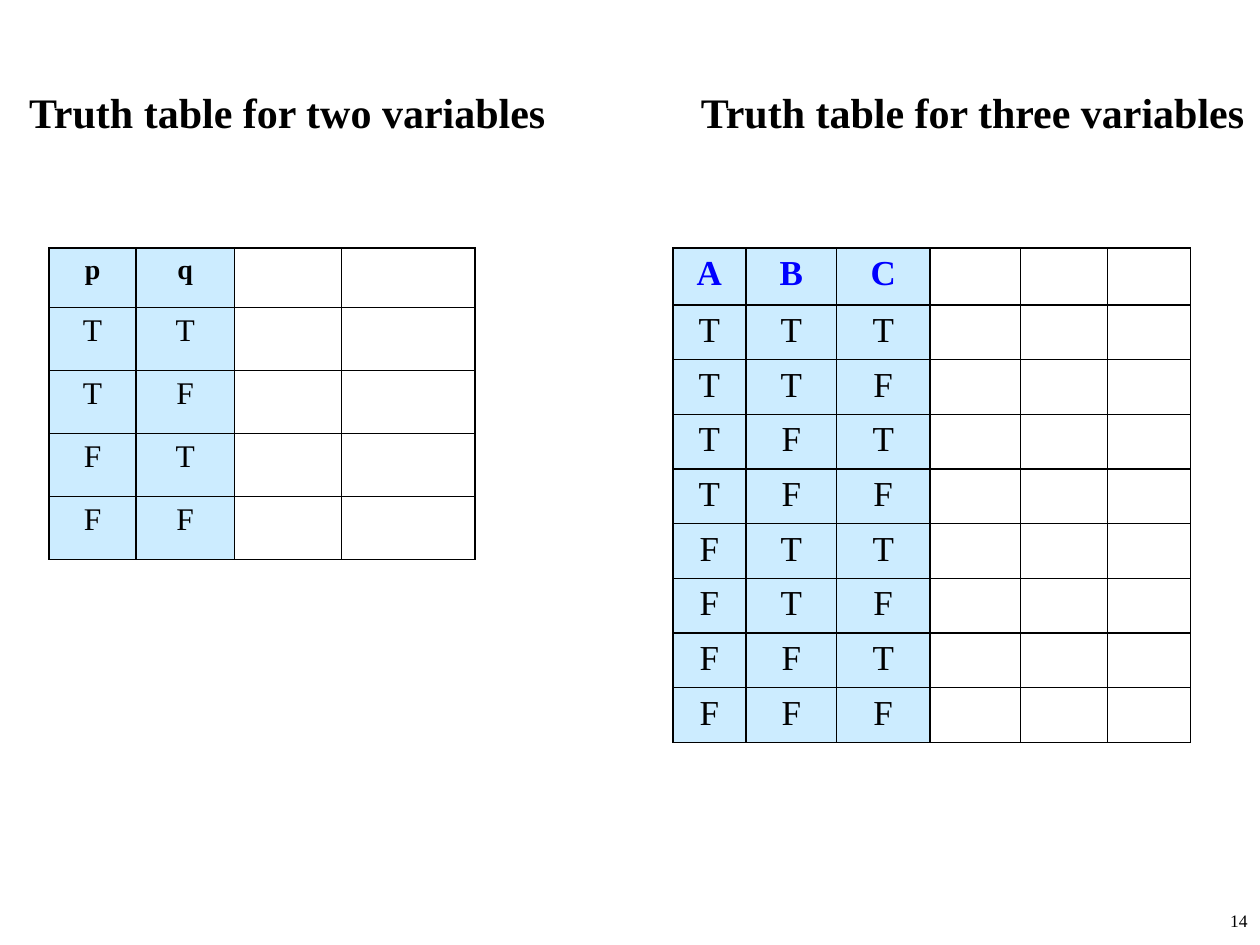
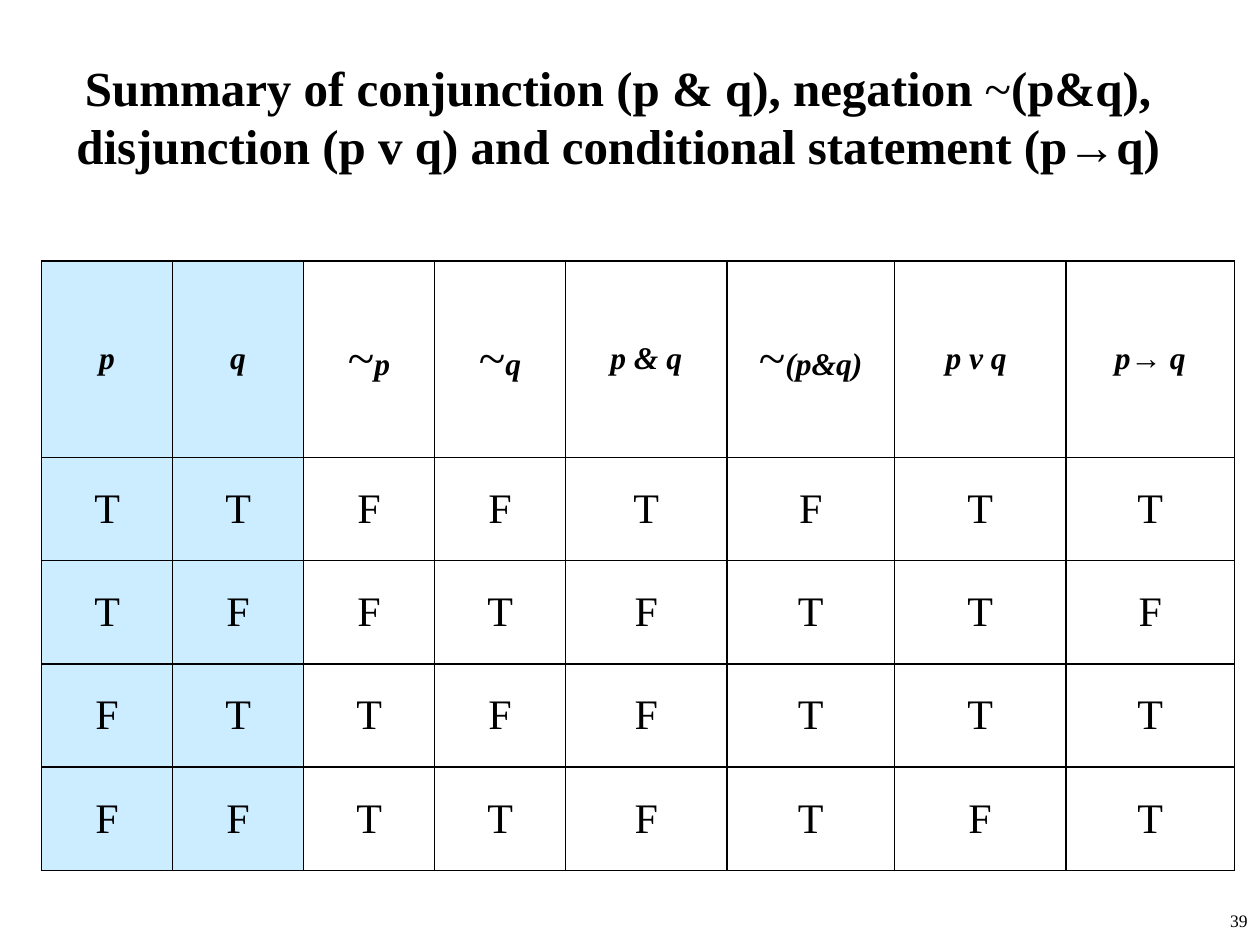
from dataclasses import dataclass
from itertools import product

from lxml.etree import SubElement
from pptx import Presentation
from pptx.dml.color import RGBColor
from pptx.enum.text import MSO_ANCHOR, PP_ALIGN
from pptx.oxml.ns import qn
from pptx.util import Pt

PX = 9144  # EMU per px, 100 px to the inch


@dataclass(frozen=True)
class Theme:
    font: str = "Times New Roman"
    ink: str = "000000"
    accent: str = "0000FF"
    paper: str = "FFFFFF"
    input_fill: str = "CCECFF"
    rule: int = 1
    number: int = 10
    small_head: int = 16
    body: int = 18
    medium: int = 20
    title: int = 24
    large: int = 28


class SlideBuilder:
    def __init__(self, theme):
        self.theme = theme
        self.deck = Presentation()
        self.deck.slide_width, self.deck.slide_height = 1000 * PX, 750 * PX
        self.page = None

    def new_page(self, number):
        self.page = self.deck.slides.add_slide(self.deck.slide_layouts[6])
        self.text((792, 717, 208, 33), [(str(number), {})], self.theme.number,
                  align=PP_ALIGN.RIGHT, anchor=MSO_ANCHOR.TOP)

    def add_spans(self, para, spans, size, align=PP_ALIGN.CENTER, color=None, **style):
        """Fill a paragraph with (text, format) spans over a common style."""
        para.alignment = align
        for text, changes in spans:
            span = para.add_run()
            span.text = text
            values = {"name": self.theme.font, "size": size, "bold": False,
                      "italic": False, **style, **changes}
            values["size"] = Pt(values["size"])
            for key, value in values.items():
                setattr(span.font, key, value)
            span.font.color.rgb = RGBColor.from_string(color or self.theme.ink)

    def text(self, place, spans, size, anchor=MSO_ANCHOR.MIDDLE, **style):
        box = self.page.shapes.add_textbox(*(length * PX for length in place))
        frame = box.text_frame
        frame.word_wrap = True
        frame.vertical_anchor = anchor
        self.add_spans(frame.paragraphs[0], spans, size, **style)

    def title(self, place, spans, size):
        self.text(place, spans, size, bold=True)

    def borders(self, cell):
        properties = cell._tc.get_or_add_tcPr()
        for side in ("lnL", "lnR", "lnT", "lnB"):
            line = SubElement(properties, qn(f"a:{side}"), w=str(Pt(self.theme.rule)))
            fill = SubElement(line, qn("a:solidFill"))
            SubElement(fill, qn("a:srgbClr"), val=self.theme.ink)

    def table(self, left, top, widths, heights, rows, inputs, head, body,
              anchor=MSO_ANCHOR.TOP):
        """Draw rows of spans; the first `inputs` columns are tinted."""
        table = self.page.shapes.add_table(
            len(heights), len(widths), left * PX, top * PX,
            sum(widths) * PX, sum(heights) * PX).table
        table.first_row = table.horz_banding = False
        for column, width in zip(table.columns, widths):
            column.width = width * PX
        for row, height in zip(table.rows, heights):
            row.height = height * PX
        for r, row in enumerate(rows):
            for c in range(len(widths)):
                cell = table.cell(r, c)
                self.borders(cell)
                cell.fill.solid()
                cell.fill.fore_color.rgb = RGBColor.from_string(
                    self.theme.input_fill if c < inputs else self.theme.paper)
                cell.vertical_anchor = anchor
                if c < len(row):
                    self.add_spans(cell.text_frame.paragraphs[0], row[c],
                                   **(body if r else head))


def plain(texts):
    return [[(text, {})] for text in texts]


def assignments(count):
    return product("TF", repeat=count)


def summary_row(p, q):
    """Truth values of p, q, ~p, ~q, p & q, ~(p&q), p v q, p→q."""
    p, q = p == "T", q == "T"
    values = (p, q, not p, not q, p and q, not (p and q), p or q, not p or q)
    return plain("T" if value else "F" for value in values)


def blank_tables(slide):
    theme = slide.theme
    slide.new_page(14)
    for left, count in ((-6, "two"), (538, "three")):
        slide.title((left, 26, 468, 125),
                    [(f"Truth table for {count} variables", {})], theme.title)

    # Two variables
    slide.table(39, 197, [69, 78, 85, 106], [47] + [50] * 4,
                [plain("pq"), *map(plain, assignments(2))], 2,
                head={"size": theme.small_head, "bold": True},
                body={"size": theme.body})

    # Three variables
    slide.table(534, 197, [58, 72, 74, 72, 69, 66], [45] + [41] * 8,
                [plain("ABC"), *map(plain, assignments(3))], 3,
                head={"size": theme.medium, "bold": True, "color": theme.accent},
                body={"size": theme.medium})


def summary(slide):
    theme = slide.theme
    slide.new_page(39)
    slide.title((0, 40, 981, 104), [
        ("Summary of conjunction (p & q), negation ", {}),
        ("~", {"bold": False}),
        ("(p&q), disjunction (p v q) and conditional statement (p→q)", {}),
    ], theme.large)

    # Column heads: the negation sign is larger and upright
    tilde = ("~", {"size": theme.large, "bold": False, "italic": False})
    heads = [[tilde, (text[1:], {})] if text.startswith("~") else [(text, {})]
             for text in ("p", "q", "~p", "~q", "p & q", "~(p&q)", "p v q ", "p→ q")]

    slide.table(33, 207, [104] * 4 + [128, 133, 136, 134], [156] + [82] * 4,
                [heads, *(summary_row(p, q) for p, q in assignments(2))], 2,
                head={"size": theme.body, "bold": True, "italic": True},
                body={"size": theme.title}, anchor=MSO_ANCHOR.MIDDLE)


def main():
    slide = SlideBuilder(Theme())
    blank_tables(slide)
    summary(slide)
    slide.deck.save("out.pptx")


if __name__ == "__main__":
    main()
